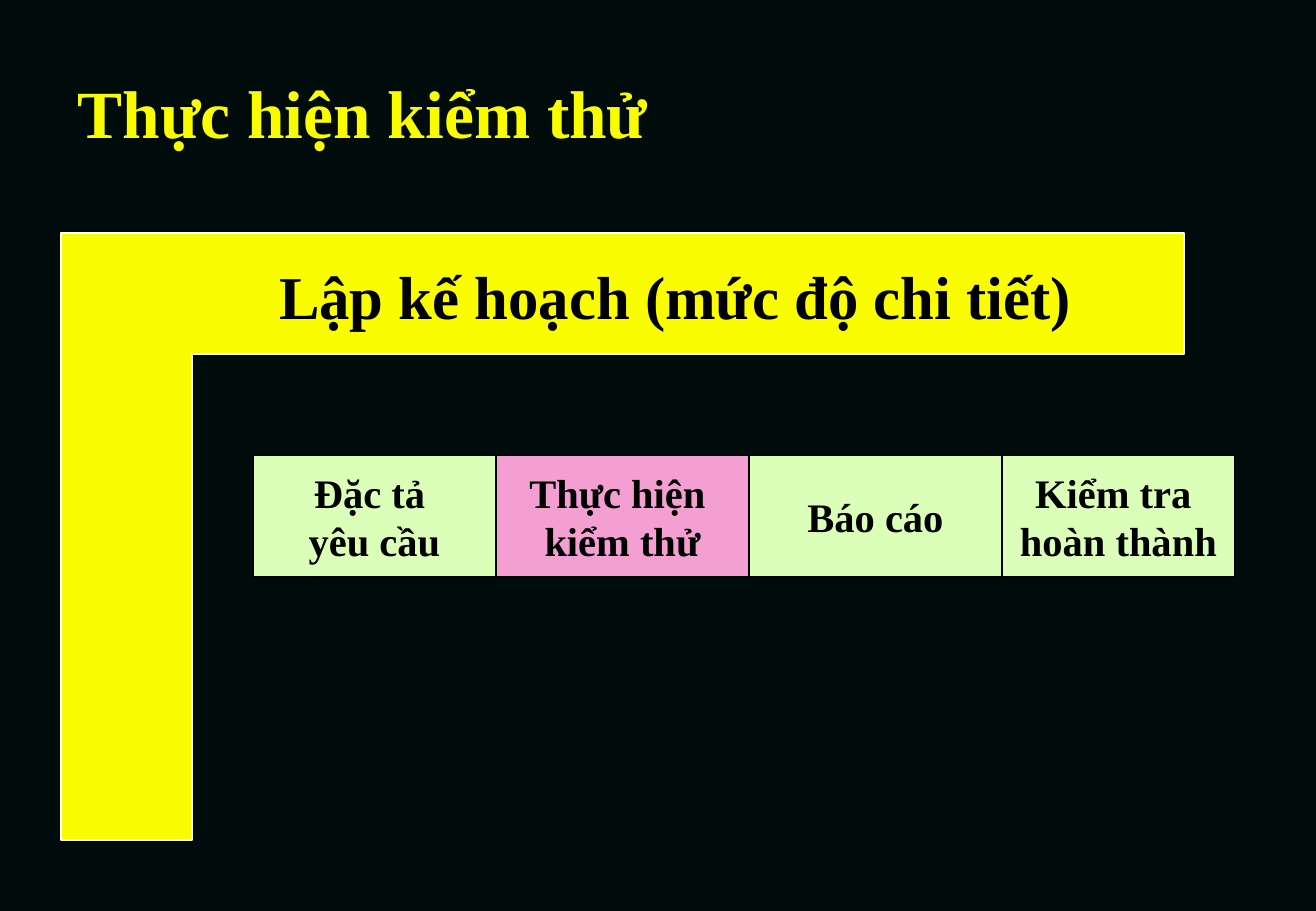
from itertools import pairwise
from pptx import Presentation
from pptx.dml.color import RGBColor as Rgb
from pptx.enum.shapes import MSO_SHAPE as Kind
from pptx.enum.text import MSO_ANCHOR as Anchor, PP_ALIGN as Align
from pptx.util import Pt

theme = {
    "font": "Times New Roman",
    "back": Rgb.from_string("000C0B"),
    "yellow": Rgb.from_string("FAFD00"),
    "green": Rgb.from_string("DBFFB8"),
    "pink": Rgb.from_string("F39FD1"),
    "black": Rgb.from_string("000000"),
    "white": Rgb.from_string("FFFFFF"),
    "title": 40,
    "plan": 36,
    "step": 24,
}


def write(shape, text, size, color, align, anchor, wrap):
    frame = shape.text_frame
    frame.text = text
    frame.word_wrap = wrap
    frame.vertical_anchor = anchor
    for para in frame.paragraphs:
        para.alignment = align
        for run in para.runs:
            run.font.name = theme["font"]
            run.font.size = Pt(theme[size])
            run.font.bold = True
            run.font.color.rgb = theme[color]


def paint(shape, fill, line):
    shape.shadow.inherit = False
    shape.fill.solid()
    shape.fill.fore_color.rgb = theme[fill]
    shape.line.color.rgb = theme[line]
    shape.line.width = Pt(1)


deck = Presentation()
deck.slide_width = Pt(780.13)
deck.slide_height = Pt(540)
slide = deck.slides.add_slide(deck.slide_layouts[6])
slide.background.fill.solid()
slide.background.fill.fore_color.rgb = theme["back"]
shapes = slide.shapes

title = shapes.add_textbox(Pt(39), Pt(42), Pt(663), Pt(48))
write(title, "Thực hiện kiểm thử", "title", "yellow", Align.LEFT, Anchor.MIDDLE, True)

steps = [
    ("Đặc tả \nyêu cầu", "green"),
    ("Thực hiện \nkiểm thử", "pink"),
    ("Báo cáo", "green"),
    ("Kiểm tra \nhoàn thành", "green"),
]
edges = [150, 294, 444, 594, 732]
for (text, fill), (left, right) in zip(steps, pairwise(edges)):
    step = shapes.add_shape(Kind.RECTANGLE, Pt(left), Pt(270), Pt(right - left), Pt(72))
    paint(step, fill, "black")
    write(step, text, "step", "black", Align.CENTER, Anchor.MIDDLE, False)

pen = shapes.build_freeform(36, 138, scale=Pt(1))
pen.add_line_segments([(702, 138), (702, 210), (114, 210), (114, 498), (36, 498)], close=True)
paint(pen.convert_to_shape(), "yellow", "white")

plan = shapes.add_textbox(Pt(158.4), Pt(150), Pt(484), Pt(50))
write(plan, "Lập kế hoạch (mức độ chi tiết)", "plan", "black", Align.LEFT, Anchor.TOP, False)

deck.save("out.pptx")
